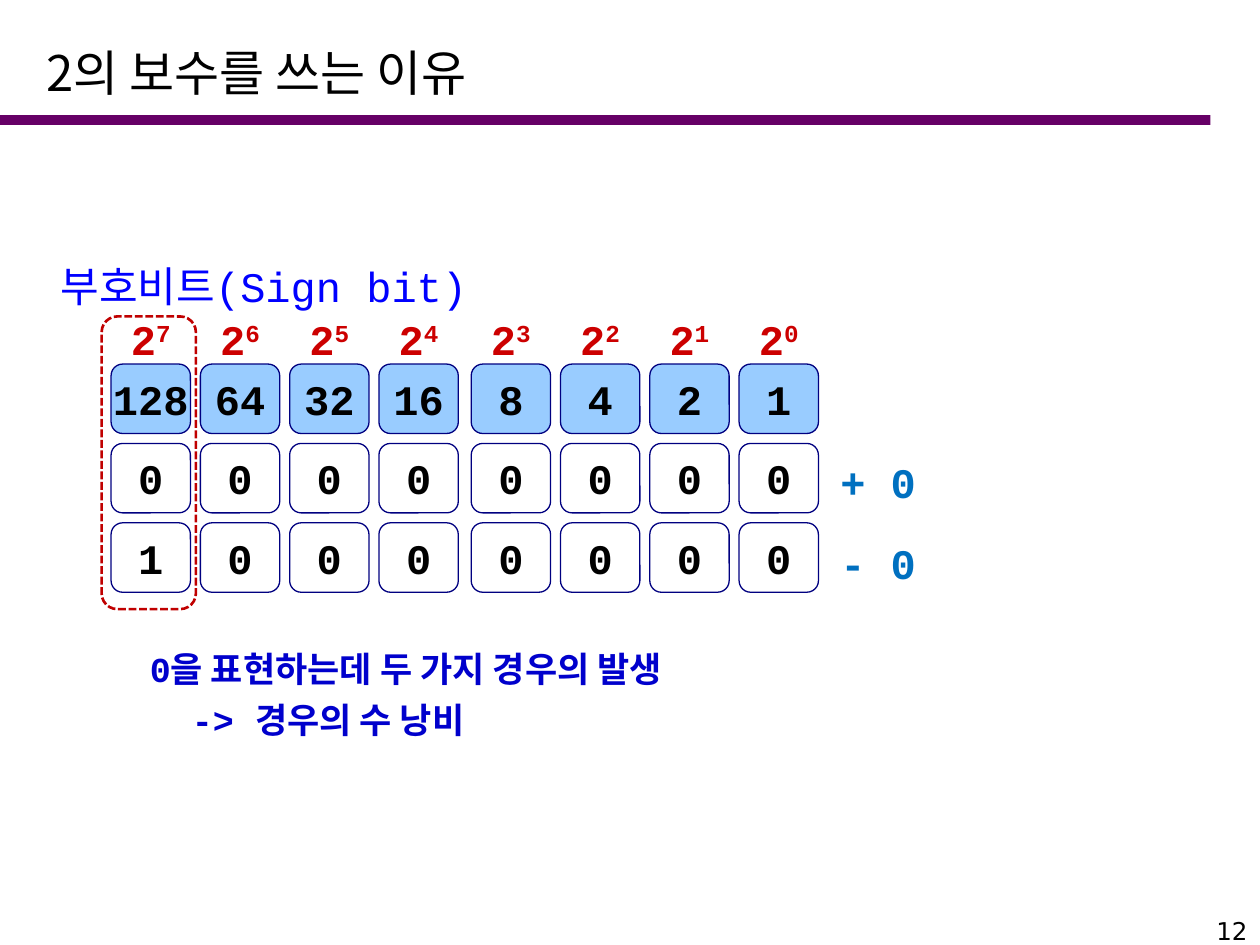
from lxml import etree
from pptx import Presentation
from pptx.dml.color import RGBColor
from pptx.enum.dml import MSO_LINE
from pptx.enum.shapes import MSO_SHAPE
from pptx.enum.text import MSO_ANCHOR, MSO_AUTO_SIZE, PP_ALIGN
from pptx.oxml.ns import qn
from pptx.util import Cm, Pt

RECTANGLE = MSO_SHAPE.RECTANGLE
ROUNDED = MSO_SHAPE.ROUNDED_RECTANGLE
DASHED = MSO_LINE.SQUARE_DOT
MIDDLE = MSO_ANCHOR.MIDDLE
LEFT, CENTER, RIGHT = PP_ALIGN.LEFT, PP_ALIGN.CENTER, PP_ALIGN.RIGHT
GROW, FIXED = MSO_AUTO_SIZE.SHAPE_TO_FIT_TEXT, MSO_AUTO_SIZE.NONE

BLACK = RGBColor(0x00, 0x00, 0x00)
WHITE = RGBColor(0xFF, 0xFF, 0xFF)
PURPLE = RGBColor(0x66, 0x00, 0x66)
NAVY = RGBColor(0x00, 0x00, 0x80)
LIGHT_BLUE = RGBColor(0x99, 0xCC, 0xFF)
BLUE = RGBColor(0x00, 0x00, 0xFF)
SKY_BLUE = RGBColor(0x00, 0x70, 0xC0)
DEEP_BLUE = RGBColor(0x00, 0x00, 0xCC)
RED = RGBColor(0xCC, 0x00, 0x00)
DARK_RED = RGBColor(0xC0, 0x00, 0x00)

CODE_FONT = "Courier New"
KOREAN_FONT = "Noto Sans CJK KR"
NUMBER_FONT = "DejaVu Sans"

BITS = 8
CELL_WIDTH, CELL_HEIGHT = 1.6, 1.4
COLUMN_STEP = 1.8
FIRST_COLUMN, NIBBLE_STEP = 2.24, 7.26
POWER_TOP, WEIGHT_TOP, ROW_STEP = 6.12, 7.34, 1.6


def column_left(column):
    """Columns are evenly spaced inside each group of four bits."""
    nibble, position = divmod(column, 4)
    return FIRST_COLUMN + nibble * NIBBLE_STEP + position * COLUMN_STEP


class SlideBuilder:
    def __init__(self, slide):
        self.slide = slide

    def style(self, paragraph, size, color, font=CODE_FONT, bold=False,
              align=LEFT, before=0):
        paragraph.alignment = align
        paragraph.space_before = Pt(before)
        paragraph.font.size = Pt(size)
        paragraph.font.bold = bold
        paragraph.font.color.rgb = color
        paragraph.font.name = font
        properties = paragraph.font._element
        east_asian = etree.SubElement(properties, qn("a:ea"))
        east_asian.set("typeface", KOREAN_FONT)

    def title(self, text, left, top, width, height):
        title = self.slide.shapes.title
        title.left, title.top = Cm(left), Cm(top)
        title.width, title.height = Cm(width), Cm(height)
        frame = title.text_frame
        frame.text = text
        frame.auto_size = FIXED
        frame.vertical_anchor = MIDDLE
        self.style(frame.paragraphs[0], 28, BLACK, KOREAN_FONT)

    def shape(self, kind, left, top, width, height, fill=None, line=None,
              line_width=0.75):
        shape = self.slide.shapes.add_shape(
            kind, Cm(left), Cm(top), Cm(width), Cm(height))
        shape.shadow.inherit = False
        if fill is None:
            shape.fill.background()
        else:
            shape.fill.solid()
            shape.fill.fore_color.rgb = fill
        if line is None:
            shape.line.fill.background()
        else:
            shape.line.color.rgb = line
            shape.line.width = Pt(line_width)
        return shape

    def cell(self, text, column, top, fill=None, line=None, color=BLACK,
             exponent=None):
        cell = self.shape(ROUNDED, column_left(column), top,
                          CELL_WIDTH, CELL_HEIGHT, fill, line)
        frame = cell.text_frame
        frame.word_wrap = False
        frame.vertical_anchor = MIDDLE
        paragraph = frame.paragraphs[0]
        paragraph.add_run().text = str(text)
        if exponent is not None:
            run = paragraph.add_run()
            run.text = str(exponent)
            run.font._element.set("baseline", "30000")
        self.style(paragraph, 24, color, bold=True, align=CENTER, before=6)

    def text(self, lines, left, top, width, height, size, color,
             wrap=True, auto_size=GROW, **style):
        box = self.slide.shapes.add_textbox(
            Cm(left), Cm(top), Cm(width), Cm(height))
        frame = box.text_frame
        frame.text = lines
        frame.word_wrap = wrap
        frame.auto_size = auto_size
        for paragraph in frame.paragraphs:
            self.style(paragraph, size, color, **style)
        return frame


def main():
    presentation = Presentation()
    presentation.slide_width, presentation.slide_height = Cm(25.4), Cm(19.05)
    slide = presentation.slides.add_slide(presentation.slide_layouts[5])
    builder = SlideBuilder(slide)

    builder.title("2의 보수를 쓰는 이유", 0.69, 0.71, 22.8, 1.48)
    builder.shape(RECTANGLE, 0, 2.32, 24.4, 0.2, PURPLE)
    builder.text("12", 19.48, 18.34, 5.92, 0.53, 14, BLACK,
                 auto_size=FIXED, font=NUMBER_FONT, align=RIGHT)

    for column in range(BITS):
        exponent = BITS - 1 - column
        builder.cell(2, column, POWER_TOP, color=RED, exponent=exponent)
        builder.cell(2 ** exponent, column, WEIGHT_TOP, LIGHT_BLUE, NAVY)
    for row, bits in enumerate(("00000000", "10000000"), start=1):
        for column, bit in enumerate(bits):
            builder.cell(bit, column, WEIGHT_TOP + row * ROW_STEP, WHITE, NAVY)

    builder.text("부호비트(Sign bit)", 0.97, 5.13, 8.92, 1.27, 24, BLUE,
                 wrap=False, before=6)
    for label, top in (("+ 0", 9.07), ("- 0", 10.72)):
        builder.text(label, 16.69, top, 9.8, 1.27, 24, SKY_BLUE,
                     bold=True, before=6)

    conclusion = builder.text(
        "0을 표현하는데 두 가지 경우의 발생\n-> 경우의 수 낭비",
        2.77, 12.93, 13.92, 2.13, 20, DEEP_BLUE, bold=True, before=5)
    indented = conclusion.paragraphs[1]._p.get_or_add_pPr()
    indented.set("marL", str(Cm(0.85)))

    sign_frame = builder.shape(ROUNDED, 2.05, 6.38, 1.9, 5.9,
                               line=DARK_RED, line_width=1.5)
    sign_frame.line.dash_style = DASHED

    presentation.save("out.pptx")


if __name__ == "__main__":
    main()
